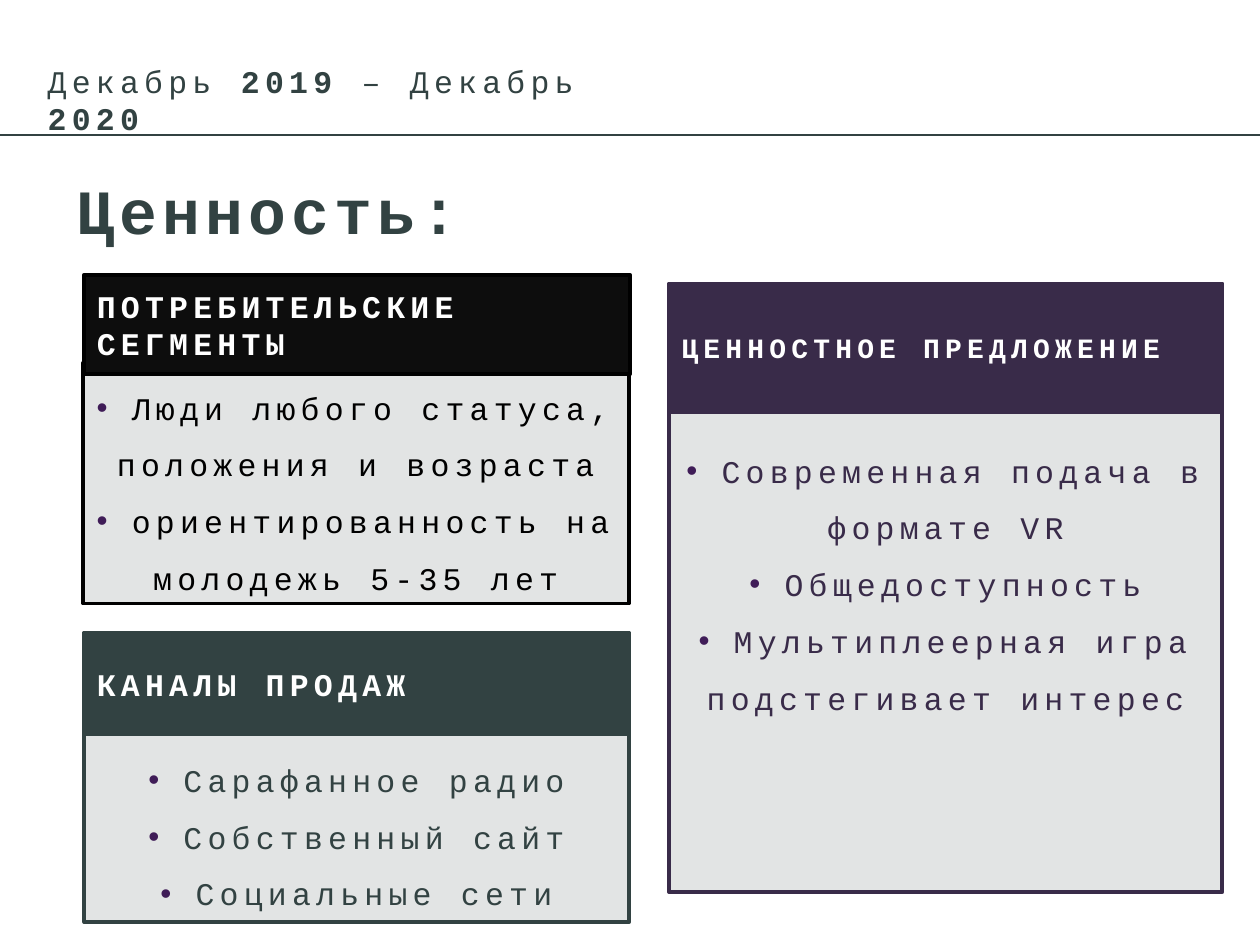
from lxml import etree
from pptx import Presentation
from pptx.dml.color import RGBColor
from pptx.enum.shapes import MSO_CONNECTOR, MSO_SHAPE
from pptx.enum.text import MSO_ANCHOR, MSO_AUTO_SIZE, PP_ALIGN
from pptx.oxml.ns import qn
from pptx.util import Inches, Pt

RECTANGLE = MSO_SHAPE.RECTANGLE
STRAIGHT = MSO_CONNECTOR.STRAIGHT
TOP, MIDDLE = MSO_ANCHOR.TOP, MSO_ANCHOR.MIDDLE
LEFT, CENTER = PP_ALIGN.LEFT, PP_ALIGN.CENTER
NO_AUTOFIT = MSO_AUTO_SIZE.NONE

SLATE = RGBColor(0x32, 0x42, 0x42)
PLUM = RGBColor(0x39, 0x2B, 0x49)
BLACK = RGBColor(0x00, 0x00, 0x00)
NEAR_BLACK = RGBColor(0x0D, 0x0D, 0x0D)
WHITE = RGBColor(0xFF, 0xFF, 0xFF)
BULLET_PURPLE = RGBColor(0x3F, 0x1C, 0x57)

FONT = "Courier New"
LETTER_SPACING = "300"
PANEL_OPACITY = "14000"
PANEL_INSET = Inches(0.1)

PANELS = [
    {
        "heading": "ПОТРЕБИТЕЛЬСКИЕ СЕГМЕНТЫ",
        "heading_box": (0.67, 2.18, 4.33, 0.79),
        "list_box": (0.66, 2.88, 4.33, 1.91),
        "items": ["Люди любого статуса, положения и возраста",
                  "ориентированность на молодежь 5-35 лет"],
        "heading_fill": NEAR_BLACK,
        "accent": BLACK,
    },
    {
        "heading": "ЦЕННОСТНОЕ ПРЕДЛОЖЕНИЕ",
        "heading_box": (5.31, 2.25, 4.39, 1.02),
        "list_box": (5.31, 2.49, 4.39, 4.59),
        "items": ["Современная подача в формате VR",
                  "Общедоступность",
                  "Мультиплеерная игра подстегивает интерес"],
        "heading_fill": PLUM,
        "accent": PLUM,
        "heading_size": 16,
        "bottom_inset": 0.55,
    },
    {
        "heading": "КАНАЛЫ ПРОДАЖ",
        "heading_box": (0.67, 5.02, 4.32, 0.81),
        "list_box": (0.67, 5.81, 4.32, 1.51),
        "items": ["Сарафанное радио", "Собственный сайт", "Социальные сети"],
        "heading_fill": SLATE,
        "accent": SLATE,
    },
]


def set_format(target, values):
    for attribute, value in values.items():
        setattr(target, attribute, value)


def to_inches(box):
    return [Inches(length) for length in box]


def add_run(paragraph, text, color, size=18, bold=False):
    run = paragraph.add_run()
    run.text = text
    set_format(run.font, {"name": FONT, "size": Pt(size), "bold": bold})
    run.font.color.rgb = color
    run.font._element.set("spc", LETTER_SPACING)


def add_bullet(paragraph):
    properties = paragraph._p.get_or_add_pPr()
    properties.set("marL", "0")
    properties.set("indent", "0")
    bullet_color = etree.SubElement(properties, qn("a:buClr"))
    etree.SubElement(bullet_color, qn("a:srgbClr"), val=str(BULLET_PURPLE))
    etree.SubElement(properties, qn("a:buFont"), typeface="Arial")
    etree.SubElement(properties, qn("a:buChar"), char="•")


def add_block(slide, box, fill, border):
    block = slide.shapes.add_shape(RECTANGLE, *to_inches(box))
    block.shadow.inherit = False
    block.fill.solid()
    block.fill.fore_color.rgb = fill
    block.line.color.rgb = border
    block.line.width = Pt(2.25)
    set_format(block.text_frame, {
        "word_wrap": True, "vertical_anchor": MIDDLE,
        "margin_left": PANEL_INSET, "margin_right": PANEL_INSET,
        "margin_top": PANEL_INSET, "margin_bottom": PANEL_INSET,
    })
    return block


def add_panel_list(slide, box, items, accent, bottom_inset):
    block = add_block(slide, box, SLATE, accent)
    fill_color = block._element.spPr.find(qn("a:solidFill"))[0]
    etree.SubElement(fill_color, qn("a:alpha"), val=PANEL_OPACITY)
    frame = block.text_frame
    frame.margin_bottom = Inches(bottom_inset)
    for index, item in enumerate(items):
        paragraph = frame.add_paragraph() if index else frame.paragraphs[0]
        set_format(paragraph, {"alignment": CENTER, "line_spacing": 1.5})
        add_bullet(paragraph)
        add_run(paragraph, " " + item, accent)


def add_panel_heading(slide, box, text, fill, border, size):
    paragraph = add_block(slide, box, fill, border).text_frame.paragraphs[0]
    paragraph.alignment = LEFT
    add_run(paragraph, text, WHITE, size, bold=True)


def add_panel(slide, panel):
    add_panel_list(slide, panel["list_box"], panel["items"], panel["accent"],
                   panel.get("bottom_inset", 0.1))
    add_panel_heading(slide, panel["heading_box"], panel["heading"],
                      panel["heading_fill"], panel["accent"],
                      panel.get("heading_size", 18))


def place_title(slide, box):
    title = slide.shapes.title
    left, top, width, height = to_inches(box)
    set_format(title, {"left": left, "top": top, "width": width, "height": height})
    set_format(title.text_frame, {"word_wrap": True, "vertical_anchor": TOP,
                                  "auto_size": NO_AUTOFIT})
    paragraph = title.text_frame.paragraphs[0]
    paragraph.alignment = LEFT
    add_run(paragraph, "Ценность:", SLATE, 36, bold=True)


def add_period(slide, box):
    period = slide.shapes.add_textbox(*to_inches(box))
    period.text_frame.word_wrap = True
    paragraph = period.text_frame.paragraphs[0]
    for text, bold in [("Декабрь ", False), ("2019", True),
                       (" – Декабрь ", False), ("2020", True)]:
        add_run(paragraph, text, SLATE, bold=bold)


def add_header_rule(slide, top, width):
    rule = slide.shapes.add_connector(STRAIGHT, 0, Inches(top), width, Inches(top))
    rule.line.color.rgb = SLATE
    rule.line.width = Pt(1.25)
    etree.SubElement(rule._element.spPr, qn("a:effectLst"))


def main():
    deck = Presentation()
    set_format(deck, {"slide_width": Inches(10), "slide_height": Inches(7.5)})
    slide = deck.slides.add_slide(deck.slide_layouts[5])
    place_title(slide, (0.51, 1.31, 8.84, 0.71))
    for panel in PANELS:
        add_panel(slide, panel)
    add_period(slide, (0.28, 0.44, 5.08, 0.4))
    add_header_rule(slide, 1.07, deck.slide_width)
    deck.save("out.pptx")


if __name__ == "__main__":
    main()
